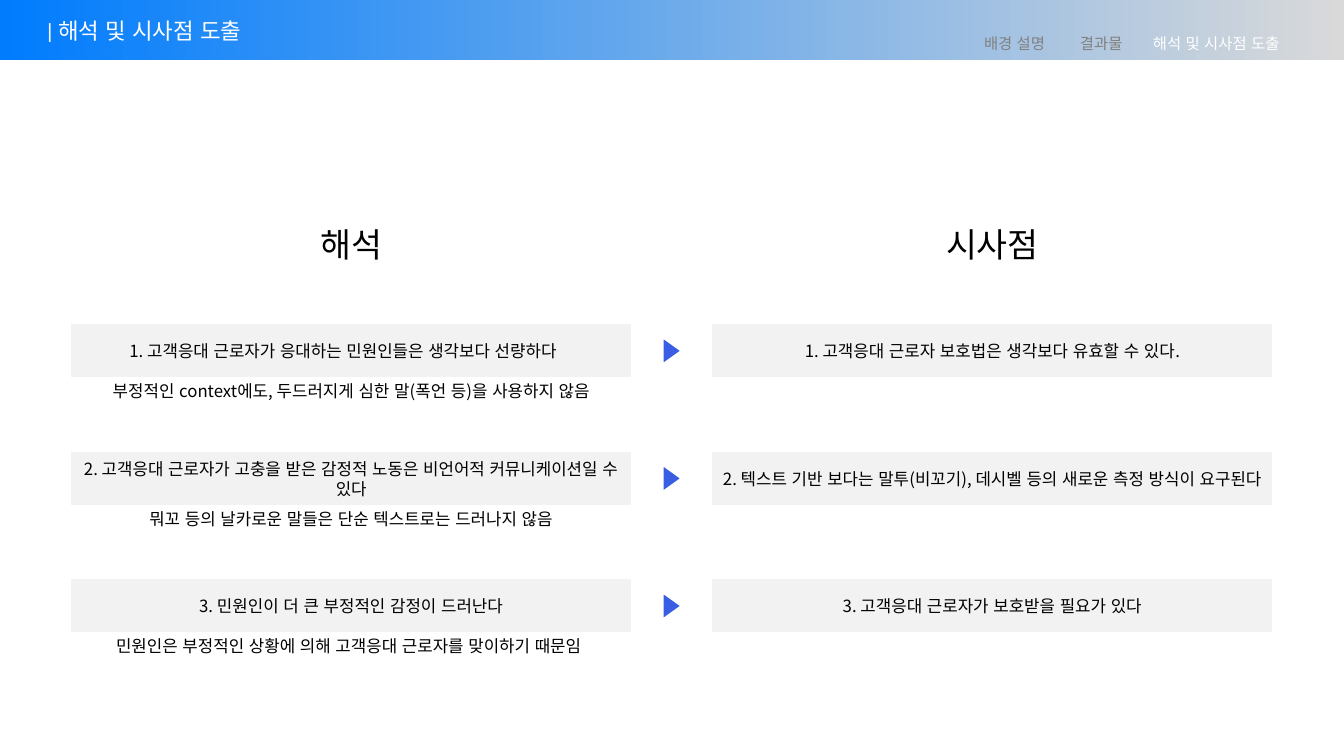
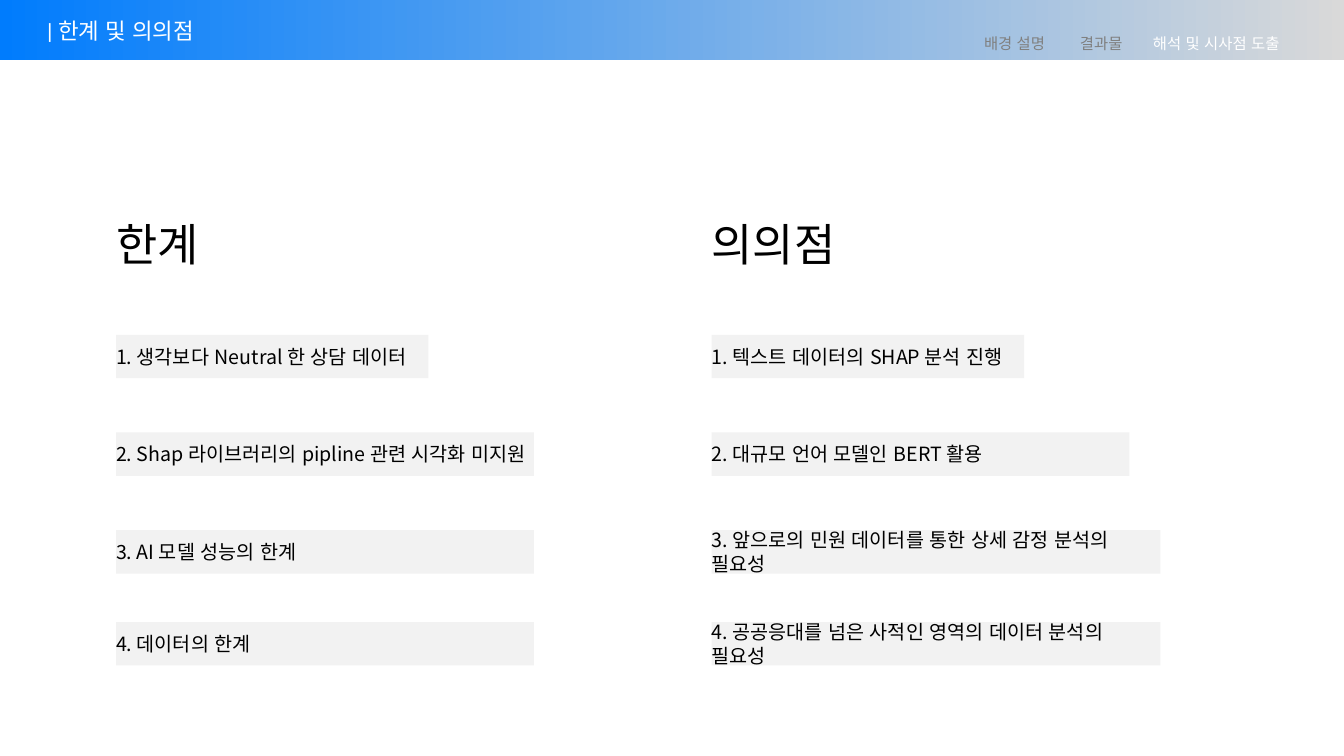
from lxml.etree import SubElement
from pptx import Presentation
from pptx.dml.color import RGBColor as Rgb
from pptx.enum.lang import MSO_LANGUAGE_ID as Lang
from pptx.enum.shapes import MSO_SHAPE as Shape
from pptx.enum.text import MSO_ANCHOR as Anchor, PP_ALIGN as Align
from pptx.oxml.ns import qn
from pptx.util import Pt

COLORS = {
    "white": "FFFFFF", "black": "000000", "muted": "808080", "panel": "F2F2F2",
    "arrow": "395EE3", "band_blue": "007CFD", "band_gray": "D9D9D9",
}
BODY_FONT, TITLE_FONT = "Noto Sans CJK KR", "Roboto"
PAGE_WIDTH, PAGE_HEIGHT, BAND_HEIGHT = 960, 540, 43.2
SECTIONS = ["배경 설명", "결과물", "해석 및 시사점 도출"]
SECTION_TABS = [68.5, 120.7]


def color(name):
    return Rgb.from_string(COLORS[name])


def style_span(span, size, name="black", font=BODY_FONT):
    span.font.size = Pt(size)
    span.font.name = font
    span.font.color.rgb = color(name)
    span.font.language_id = Lang.KOREAN
    properties = span.font._element
    SubElement(properties, qn("a:ea")).set("typeface", BODY_FONT)


def set_margins(frame, left=0, right=0):
    frame.margin_left, frame.margin_right = Pt(left), Pt(right)
    frame.margin_top = frame.margin_bottom = Pt(3.6)
    frame.vertical_anchor = Anchor.MIDDLE
    frame.word_wrap = True


def write(box, text, size, align=Align.LEFT, name="black", font=BODY_FONT,
          left=0, right=0):
    frame = box.text_frame
    set_margins(frame, left, right)
    frame.text = text
    para = frame.paragraphs[0]
    para.alignment = align
    style_span(para.runs[0], size, name, font)


def add_text(page, area, text, size, **style):
    box = page.shapes.add_textbox(*map(Pt, area))
    write(box, text, size, **style)


def add_block(page, area, fill, line=None, kind=Shape.RECTANGLE):
    block = page.shapes.add_shape(kind, *map(Pt, area))
    block.shadow.inherit = False
    block.fill.solid()
    block.fill.fore_color.rgb = color(fill)
    if line:
        block.line.color.rgb = color(line)
        block.line.width = Pt(1)
    else:
        block.line.fill.background()
    return block


# Shared header: gradient band, title and section trail
def add_header(page, title):
    band = add_block(page, (0, 0, PAGE_WIDTH, BAND_HEIGHT), "band_blue")
    band.fill.gradient()
    band.fill.gradient_angle = 180
    for stop, name in zip(band.fill.gradient_stops, ("band_gray", "band_blue")):
        stop.color.rgb = color(name)
    add_text(page, (26.6, 0, 468, BAND_HEIGHT), title, 16,
             name="white", font=TITLE_FONT, left=7.2, right=7.2)
    add_section_trail(page, (159.1, 18, 774.7, 26.6))


def add_section_trail(page, area):
    frame = page.shapes.add_textbox(*map(Pt, area)).text_frame
    set_margins(frame, left=543.8)
    para = frame.paragraphs[0]
    tabs = SubElement(para._p.get_or_add_pPr(), qn("a:tabLst"))
    for position in SECTION_TABS:
        tab = SubElement(tabs, qn("a:tab"))
        tab.set("pos", str(int(Pt(position))))
        tab.set("algn", "l")
    for index, section in enumerate(SECTIONS):
        span = para.add_run()
        span.text = section if index == 0 else "\t" + section
        current = index == len(SECTIONS) - 1
        style_span(span, 11, "white" if current else "muted")


# One statement bar, with an optional note tucked under it
def add_statement(page, area, text, note=None, right=0):
    left, top, width, height = area
    if note:
        under = add_block(page, (left, top + 28.8, width, height), "white", "white")
        write(under, note, 12, Align.CENTER)
    bar = add_block(page, area, "panel", "white")
    write(bar, text, 12, Align.CENTER, right=right)


def add_arrow(page, center_x, center_y):
    width, height = 18.6, 13
    area = (center_x - width / 2, center_y - height / 2, width, height)
    add_block(page, area, "arrow", "white", Shape.ISOSCELES_TRIANGLE).rotation = 90


# Findings on the left lead to implications on the right
def build_findings(page, title, headings, rows):
    add_header(page, title)
    lefts, width, height = (50.4, 508.4), 401, 38.9
    first_top, step = 231.2, 91.1
    for left, heading in zip(lefts, headings):
        add_text(page, (left, 159.1, width, 31), heading, 24, align=Align.CENTER)
    for index, (finding, note, implication, right) in enumerate(rows):
        top = first_top + index * step
        add_statement(page, (lefts[0], top, width, height), finding, note, right)
        add_statement(page, (lefts[1], top, width, height), implication)
        add_arrow(page, PAGE_WIDTH / 2, top + height / 2)


# A heading over a list of left-aligned bars
def add_list(page, left, heading, items):
    height, tops = 31, (239.2, 308.9, 378.7, 444.4)
    add_text(page, (left, 158.5, 223.2, height), heading, 32)
    for top, (width, text) in zip(tops, items):
        bar = add_block(page, (left, top, width, height), "panel")
        write(bar, text, 14)


def build_lists(page, title, columns):
    add_header(page, title)
    for left, heading, items in columns:
        add_list(page, left, heading, items)


FINDINGS = [
    ("1. 고객응대 근로자가 응대하는 민원인들은 생각보다 선량하다",
     "부정적인 context에도, 두드러지게 심한 말(폭언 등)을 사용하지 않음",
     "1. 고객응대 근로자 보호법은 생각보다 유효할 수 있다.", 11.4),
    ("2. 고객응대 근로자가 고충을 받은 감정적 노동은 비언어적 커뮤니케이션일 수 있다",
     "뭐꼬 등의 날카로운 말들은 단순 텍스트로는 드러나지 않음",
     "2. 텍스트 기반 보다는 말투(비꼬기), 데시벨 등의 새로운 측정 방식이 요구된다", 0),
    ("3. 민원인이 더 큰 부정적인 감정이 드러난다",
     "민원인은 부정적인 상황에 의해 고객응대 근로자를 맞이하기 때문임 ",
     "3. 고객응대 근로자가 보호받을 필요가 있다", 0),
]
SHORT, MEDIUM, LONG = 223.2, 298.4, 320.4
COLUMNS = [
    (82.9, "한계", [
        (SHORT, "1. 생각보다 Neutral 한 상담 데이터"),
        (MEDIUM, "2. Shap 라이브러리의 pipline 관련 시각화 미지원"),
        (MEDIUM, "3. AI 모델 성능의 한계"),
        (MEDIUM, "4. 데이터의 한계"),
    ]),
    (508.4, "의의점", [
        (SHORT, "1. 텍스트 데이터의 SHAP 분석 진행"),
        (MEDIUM, "2. 대규모 언어 모델인 BERT 활용"),
        (LONG, "3. 앞으로의 민원 데이터를 통한 상세 감정 분석의 필요성"),
        (LONG, "4. 공공응대를 넘은 사적인 영역의 데이터 분석의 필요성"),
    ]),
]


def main():
    deck = Presentation()
    deck.slide_width, deck.slide_height = Pt(PAGE_WIDTH), Pt(PAGE_HEIGHT)
    blank = deck.slide_layouts[6]
    build_findings(deck.slides.add_slide(blank), "| 해석 및 시사점 도출",
                   ("해석", "시사점"), FINDINGS)
    build_lists(deck.slides.add_slide(blank), "| 한계 및 의의점", COLUMNS)
    deck.save("out.pptx")


if __name__ == "__main__":
    main()
